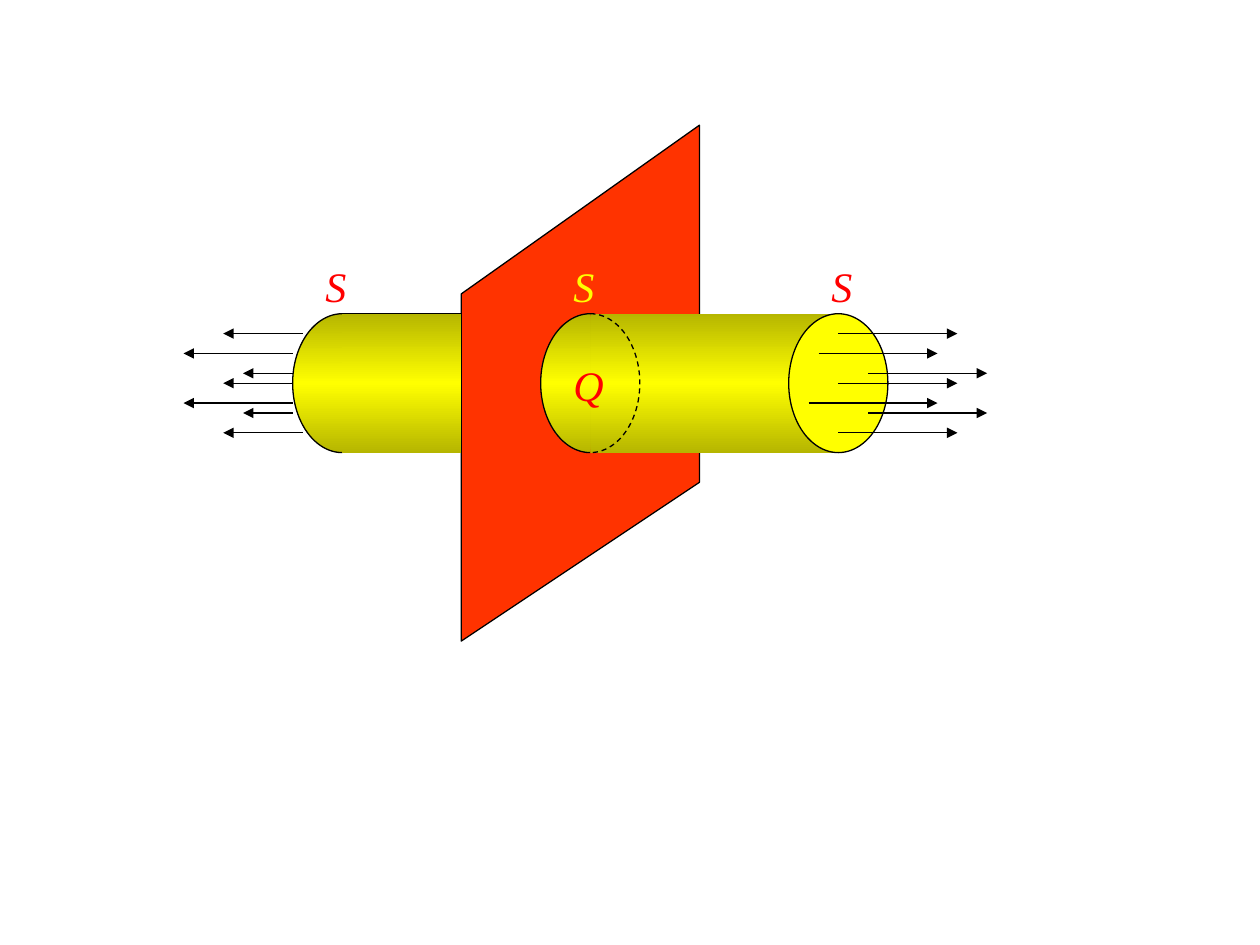
from lxml import etree
from pptx import Presentation
from pptx.dml.color import RGBColor
from pptx.enum.dml import MSO_LINE
from pptx.enum.shapes import MSO_CONNECTOR, MSO_SHAPE
from pptx.enum.text import MSO_AUTO_SIZE
from pptx.oxml import parse_xml
from pptx.oxml.ns import nsdecls, qn
from pptx.util import Inches, Mm, Pt

BLACK = RGBColor(0x00, 0x00, 0x00)
RED = RGBColor(0xFF, 0x00, 0x00)
ORANGE_RED = RGBColor(0xFF, 0x33, 0x00)
YELLOW = RGBColor(0xFF, 0xFF, 0x00)
LABEL_FONT = {"name": "Times New Roman", "size": Pt(24), "italic": True}
EDGE_SHADE = 46275  # darkening of the tube towards its edges

# Grid of 2 mm cells; regions are (column, row, columns wide, rows high)
PLANE = (47, 13, 24, 52)
LEFT_TUBE = (30, 32, 17, 14)
RIGHT_TUBE = (55, 32, 35, 14)
CAP_WIDTH = 10

# Field arrows: (row below the tube's top, start column, end column),
# with columns counted from the tube's left side
RIGHT_ARROWS = [(2, 30, 42), (4, 28, 40), (6, 33, 45), (7, 30, 42),
                (10, 33, 45), (12, 30, 42), (9, 27, 40)]
LEFT_ARROWS = [(2, -7, 1), (4, -11, 0), (6, -5, 0), (7, -7, 0),
               (9, -11, 0), (10, -5, 0), (12, -7, 1)]

# Labels: letter, colour, column, row
LABELS = [("Q", RED, 56, 36), ("S", YELLOW, 56, 26),
          ("S", RED, 82, 26), ("S", RED, 31, 26)]


def grid_x(column):
    return Mm(2 * column - 1)


def grid_y(row):
    return Mm(2 * row - 0.75)


def format_line(line):
    line.width = Pt(0.75)
    line.color.rgb = BLACK


def shade_tube(shape):
    """Fill from dark edges to a bright yellow middle, top to bottom."""
    dark = f'<a:srgbClr val="{YELLOW}"><a:shade val="{EDGE_SHADE}"/></a:srgbClr>'
    bright = f'<a:srgbClr val="{YELLOW}"/>'
    stops = "".join(f'<a:gs pos="{position}">{colour}</a:gs>' for position, colour
                    in [(0, dark), (50000, bright), (100000, dark)])
    shape.fill.background()
    empty_fill = shape._element.spPr.find(qn("a:noFill"))
    empty_fill.getparent().replace(empty_fill, parse_xml(
        f'<a:gradFill {nsdecls("a")} rotWithShape="1"><a:gsLst>{stops}</a:gsLst>'
        '<a:lin ang="5400000" scaled="1"/></a:gradFill>'))


def add_block(page, kind, column, row, width, height):
    shape = page.shapes.add_shape(kind, grid_x(column), grid_y(row),
                                  Mm(2 * width), Mm(2 * height))
    shape.shadow.inherit = False
    return shape


def add_half_ellipse(page, column, row, height, start, end):
    arc = add_block(page, MSO_SHAPE.ARC, column, row, CAP_WIDTH, height)
    for index, degrees in enumerate((start, end)):
        arc.adjustments[index] = degrees * 0.6  # 60000ths over 100000
    format_line(arc.line)
    return arc


def add_tube_body(page, column, row, width, height):
    body = add_block(page, MSO_SHAPE.RECTANGLE, column, row, width, height)
    shade_tube(body)
    body.line.fill.background()


def add_line(shapes, start, end, arrowhead=None):
    line = shapes.add_connector(MSO_CONNECTOR.STRAIGHT,
                                grid_x(start[0]), grid_y(start[1]),
                                grid_x(end[0]), grid_y(end[1]))
    format_line(line.line)
    properties = line._element.spPr
    if arrowhead:
        etree.SubElement(properties.find(qn("a:ln")), qn(arrowhead), type="triangle")
    etree.SubElement(properties, qn("a:effectLst"))


def draw_plane(page, box):
    """Charged sheet seen at an angle."""
    left, top, width, height = box
    right, bottom = left + width, top + height
    corners = [(left, top + 17), (right, top), (right, bottom - 16), (left, bottom)]
    points = [(grid_x(column), grid_y(row)) for column, row in corners]
    builder = page.shapes.build_freeform(*points[0])
    builder.add_line_segments(points[1:], close=True)
    plane = builder.convert_to_shape()
    plane.shadow.inherit = False
    plane.fill.solid()
    plane.fill.fore_color.rgb = ORANGE_RED
    format_line(plane.line)


def draw_left_tube(page, box):
    """Tube part behind the sheet, with a rounded far end."""
    left, top, width, height = box
    middle = left + CAP_WIDTH / 2
    shade_tube(add_half_ellipse(page, left, top, height, 90, 270))
    for row in (top, top + height):
        add_line(page.shapes, (middle, row), (left + width, row))
    add_tube_body(page, middle, top, width - CAP_WIDTH / 2, height)


def draw_right_tube(page, box):
    """Tube part in front of the sheet, with its open face."""
    left, top, width, height = box
    shade_tube(add_half_ellipse(page, left, top, height, 90, 270))
    add_tube_body(page, left + CAP_WIDTH / 2, top, width - CAP_WIDTH, height)
    face = add_block(page, MSO_SHAPE.OVAL, left + width - CAP_WIDTH, top,
                     CAP_WIDTH, height)
    face.fill.solid()
    face.fill.fore_color.rgb = YELLOW
    format_line(face.line)
    hidden_rim = add_half_ellipse(page, left, top, height, 270, 90)
    hidden_rim.fill.background()
    hidden_rim.line.dash_style = MSO_LINE.DASH


def draw_arrows(page, box, arrows, arrowhead):
    left, top = box[:2]
    group = page.shapes.add_group_shape()
    for row, start, end in arrows:
        add_line(group.shapes, (left + start, top + row), (left + end, top + row),
                 arrowhead)


def draw_label(page, letter, colour, column, row):
    box = page.shapes.add_textbox(grid_x(column), grid_y(row), Mm(16), Inches(0.5))
    box.text_frame.word_wrap = True
    box.text_frame.auto_size = MSO_AUTO_SIZE.SHAPE_TO_FIT_TEXT
    span = box.text_frame.paragraphs[0].add_run()
    span.text = f" {letter}"
    for name, value in LABEL_FONT.items():
        setattr(span.font, name, value)
    span.font.color.rgb = colour


def main():
    deck = Presentation()
    deck.slide_width, deck.slide_height = Inches(10), Inches(7.5)
    page = deck.slides.add_slide(deck.slide_layouts[6])
    draw_plane(page, PLANE)
    draw_left_tube(page, LEFT_TUBE)
    draw_right_tube(page, RIGHT_TUBE)
    draw_arrows(page, RIGHT_TUBE, RIGHT_ARROWS, "a:tailEnd")
    draw_arrows(page, LEFT_TUBE, LEFT_ARROWS, "a:headEnd")
    for label in LABELS:
        draw_label(page, *label)
    deck.save("out.pptx")


if __name__ == "__main__":
    main()
